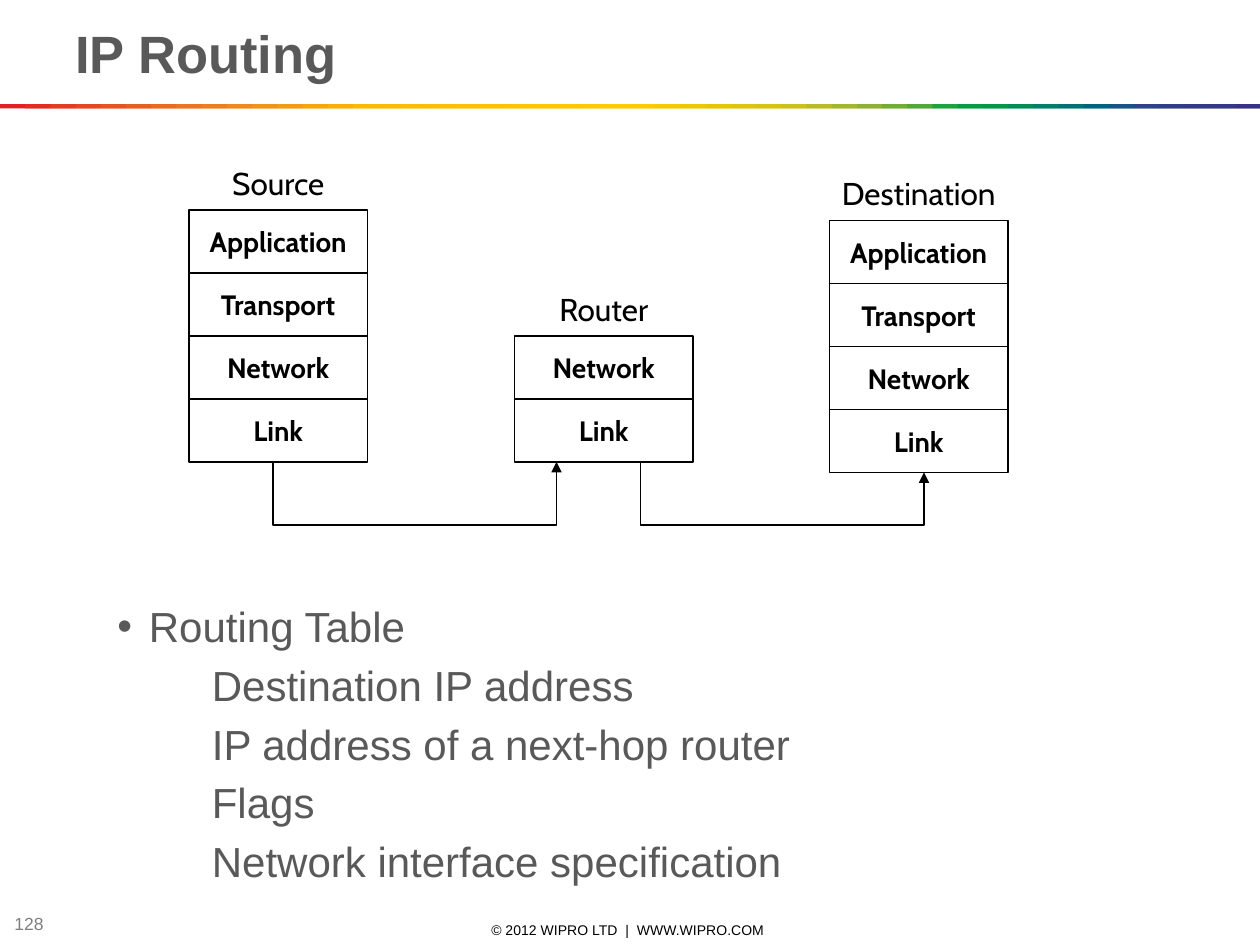
from lxml import etree
from pptx import Presentation
from pptx import util as u
from pptx.dml.color import RGBColor
from pptx.enum import shapes, text
from pptx.oxml import ns

TITLE = "IP Routing"
COPYRIGHT = "© 2012 WIPRO LTD  |  WWW.WIPRO.COM"
PAGE_NUMBER = "128"
LAYERS = ["Application", "Transport", "Network", "Link"]
STACKS = [
    {"name": "Source", "column": 18, "row": 20, "layers": LAYERS},
    {"name": "Destination", "column": 79, "row": 21, "layers": LAYERS},
    {"name": "Router", "column": 49, "row": 32, "layers": LAYERS[2:]},
]
HOPS = [
    [(26, 44), (26, 50), (53, 50), (53, 44)],
    [(61, 44), (61, 50), (88, 50), (88, 45)],
]
TABLE_HEADING = "Routing Table"
TABLE_FIELDS = [
    "Destination IP address",
    "IP address of a next-hop router",
    "Flags",
    "Network interface specification",
]
SPECTRUM = """
E31E24 E42C24 E53A24 E74623 E85122 EA5D21 EC691F EE741D EF7E1A F18817
F39314 F49C0F F6A607 F8B002 FBBA00 FBBB00 FBBD00 FCBF00 FCC000 FCC200
FDC400 FDC600 FDC700 FEC900 FECB00 FBCB00 F3CA00 ECC800 E4C602 DCC50A
D5C30E CCC117 B8BC21 A3B829 8CB230 71AD36 51A73B 1DA240 009D43 009846
008C57 008068 007275 00637F 185384 2E4285 313E85 333B85 353885 393185
""".split()

THEME = {
    "line": "000000",
    "line_width": 0.75,
    "title": {"name": "Arial", "size": 30, "bold": True, "color": "595959"},
    "body": {"name": "Arial", "size": 24, "bold": False, "color": "595959"},
    "layer": {"name": "Cabin", "size": 16, "bold": True, "color": "000000"},
    "label": {"name": "Cabin", "size": 18, "bold": False, "color": "000000"},
    "footer": {"name": "Arial", "size": 8, "bold": False, "color": "000000"},
    "number": {"name": "Arial", "size": 10, "bold": False, "color": "808080"},
}
COLUMNS, ROWS = 120, 90
LAYER_WIDTH, LAYER_HEIGHT = 17, 6
LABEL_RISE, LABEL_OVERHANG = 5, 2

deck = Presentation()
deck.slide_width, deck.slide_height = u.Inches(10), u.Inches(7.5)
page = deck.slides.add_slide(deck.slide_layouts[6])


def at(column, row):
    return (round(deck.slide_width * column / COLUMNS),
            round(deck.slide_height * row / ROWS))


def area(column, row, width, height):
    return at(column, row) + at(width, height)


def style(font, role):
    values = dict(THEME[role])
    font.color.rgb = RGBColor.from_string(values.pop("color"))
    values["size"] = u.Pt(values["size"])
    for key, value in values.items():
        setattr(font, key, value)


def write(box, words, role, align="LEFT", anchor="MIDDLE", wrap=False):
    frame = box.text_frame
    frame.word_wrap = wrap
    frame.vertical_anchor = text.MSO_ANCHOR[anchor]
    para = frame.paragraphs[0]
    para.alignment = text.PP_ALIGN[align]
    span = para.add_run()
    span.text = words
    style(span.font, role)


def add_text(place, words, role, **layout):
    box = page.shapes.add_textbox(*area(*place))
    write(box, words, role, **layout)


def outline(shape):
    shape.shadow.inherit = False
    shape.fill.background()
    shape.line.color.rgb = RGBColor.from_string(THEME["line"])
    shape.line.width = u.Pt(THEME["line_width"])


def add_spectrum():
    step = COLUMNS / len(SPECTRUM)
    for index, color in enumerate(SPECTRUM):
        left = index * step
        width = min(2 * step, COLUMNS - left)
        strip = page.shapes.add_shape(
            shapes.MSO_SHAPE.RECTANGLE, *area(left, 9.92, width, 0.4))
        strip.shadow.inherit = False
        strip.fill.solid()
        strip.fill.fore_color.rgb = RGBColor.from_string(color)
        strip.line.fill.background()


def add_stack(name, column, row, layers):
    for index, layer in enumerate(layers):
        box = page.shapes.add_shape(
            shapes.MSO_SHAPE.RECTANGLE,
            *area(column, row + index * LAYER_HEIGHT, LAYER_WIDTH, LAYER_HEIGHT))
        outline(box)
        write(box, layer, "layer", align="CENTER")
    add_text((column - LABEL_OVERHANG, row - LABEL_RISE,
              LAYER_WIDTH + 2 * LABEL_OVERHANG, 4.8),
             name, "label", align="CENTER", anchor="TOP")


def add_hop(points):
    start, *rest = [at(*point) for point in points]
    builder = page.shapes.build_freeform(*start)
    builder.add_line_segments(rest, close=False)
    hop = builder.convert_to_shape()
    outline(hop)
    etree.SubElement(hop.line._get_or_add_ln(), ns.qn("a:tailEnd"), type="triangle")


def add_routing_table():
    box = page.shapes.add_textbox(*area(10, 56.6, 102, 29.4))
    frame = box.text_frame
    frame.word_wrap = True
    for index, words in enumerate([TABLE_HEADING] + TABLE_FIELDS):
        para = frame.add_paragraph() if index else frame.paragraphs[0]
        para.text = words
        margin, indent = (0.75, 0) if index else (0.25, -0.25)
        props = para._p.get_or_add_pPr()
        props.set("marL", str(u.Inches(margin)))
        props.set("indent", str(u.Inches(indent)))
        if index:
            para.space_before = u.Pt(THEME["body"]["size"] * 0.2)
            etree.SubElement(props, ns.qn("a:buNone"))
        else:
            etree.SubElement(props, ns.qn("a:buFont"), typeface="Arial")
            etree.SubElement(props, ns.qn("a:buChar"), char="•")
        style(para.runs[0].font, "body")


add_text((40.8, 87.6, 38, 1.9), COPYRIGHT, "footer", align="CENTER")
add_text((0.2, 86.7, 9, 2.5), PAGE_NUMBER, "number")
add_spectrum()
add_text((6, 1.4, 108, 7.3), TITLE, "title", anchor="TOP", wrap=True)
add_routing_table()
for stack in STACKS:
    add_stack(**stack)
for hop_points in HOPS:
    add_hop(hop_points)
deck.save("out.pptx")
